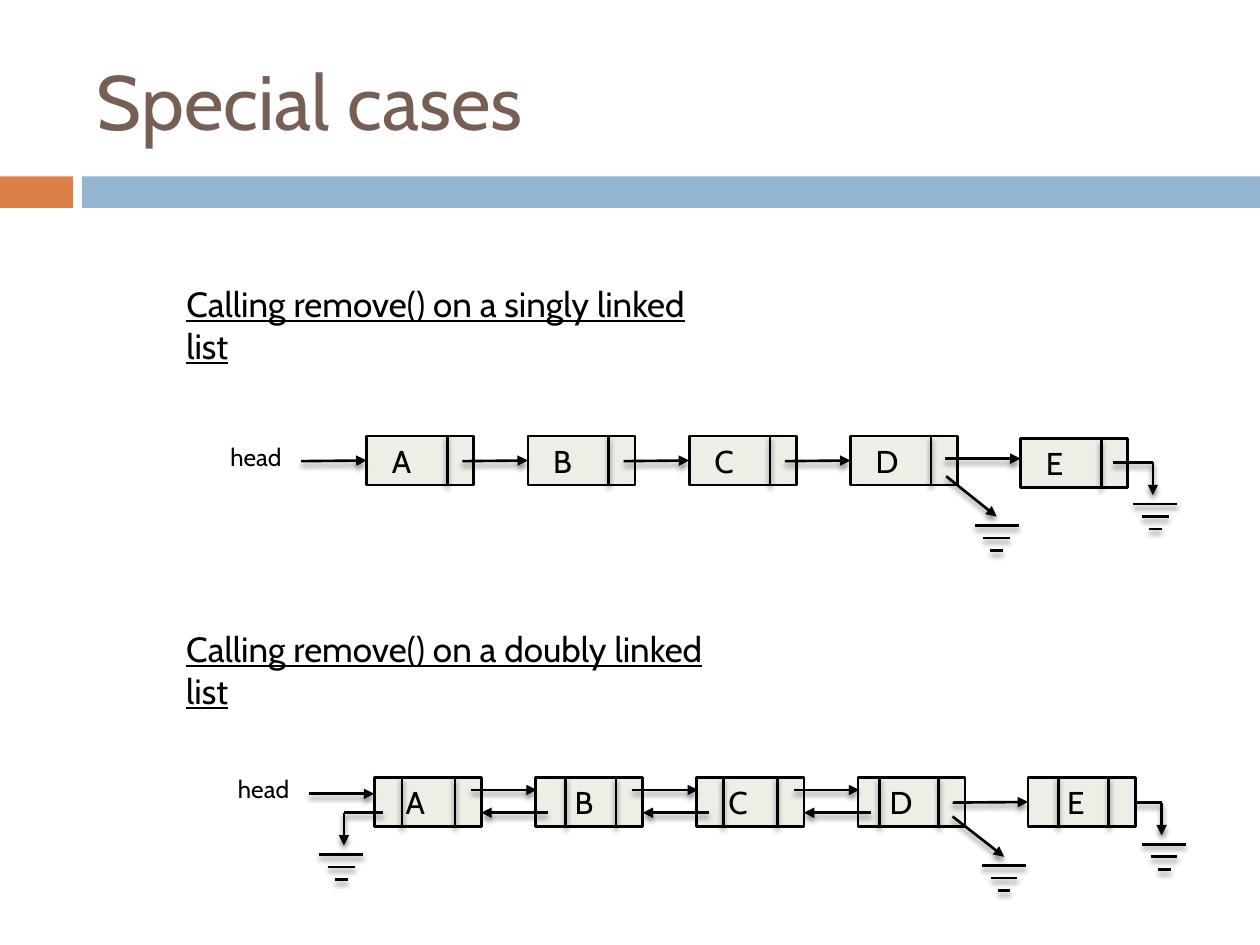
import dataclasses

import pptx
import pptx.dml.color
import pptx.enum.shapes
import pptx.enum.text
import pptx.oxml
import pptx.oxml.ns
import pptx.util

Inches = pptx.util.Inches
Pt = pptx.util.Pt
RGB = pptx.dml.color.RGBColor.from_string
RECTANGLE = pptx.enum.shapes.MSO_SHAPE.RECTANGLE
MIDDLE = pptx.enum.text.MSO_ANCHOR.MIDDLE
LEFT_SIDE = 1


@dataclasses.dataclass(frozen=True)
class Theme:
    font: str = "Cabin"
    title: str = "775F55"
    accent: str = "DD8047"
    band: str = "94B6D2"
    node: str = "EDEEE6"
    ink: str = "000000"
    title_size: int = 44
    heading_size: int = 20
    node_size: int = 18
    label_size: int = 14
    stroke: float = 1.5


@dataclasses.dataclass(frozen=True)
class Box:
    left: float
    top: float
    width: float
    height: float

    def at(self, x, y):
        return self.left + x, self.top + y


THEME = Theme()
NODE_WIDTH, NODE_HEIGHT = 0.85, 0.39
FIRST_NODE, NODE_PITCH, LAST_NODE = 1.18, 1.28, 6.37
NODE_LEFTS = [FIRST_NODE + NODE_PITCH * i for i in range(4)] + [LAST_NODE]
NEXT_DIVIDER = 0.64
SHADOW = (
    f'<a:effectLst {pptx.oxml.ns.nsdecls("a")}>'
    '<a:outerShdw blurRad="38100" dist="30480" dir="5400000" rotWithShape="0">'
    f'<a:srgbClr val="{THEME.ink}"><a:alpha val="45000"/></a:srgbClr>'
    "</a:outerShdw></a:effectLst>"
)
ARROWHEAD = f'<a:tailEnd {pptx.oxml.ns.nsdecls("a")} type="triangle"/>'


def style_text(frame, text, size, color):
    paragraph = frame.paragraphs[0]
    paragraph.text = text
    paragraph.alignment = pptx.enum.text.PP_ALIGN.LEFT
    paragraph.font.name = THEME.font
    paragraph.font.size = Pt(size)
    paragraph.font.color.rgb = RGB(color)
    return paragraph


def add_text(slide, box, text, size, color, wrap=True):
    frame = slide.shapes.add_textbox(
        Inches(box.left), Inches(box.top), Inches(box.width), Inches(box.height)
    ).text_frame
    frame.word_wrap = wrap
    return frame, style_text(frame, text, size, color)


def add_rectangle(slide, box, fill):
    rectangle = slide.shapes.add_shape(
        RECTANGLE, Inches(box.left), Inches(box.top), Inches(box.width), Inches(box.height)
    )
    rectangle.shadow.inherit = False
    rectangle.fill.solid()
    rectangle.fill.fore_color.rgb = RGB(fill)
    rectangle.line.fill.background()
    return rectangle


def add_line(slide, start, end, arrow=False, target=None):
    line = slide.shapes.add_connector(
        pptx.enum.shapes.MSO_CONNECTOR.STRAIGHT, *map(Inches, (*start, *end))
    )
    line.line.color.rgb = RGB(THEME.ink)
    line.line.width = Pt(THEME.stroke)
    if arrow:
        line.line._get_or_add_ln().append(pptx.oxml.parse_xml(ARROWHEAD))
    line._element.spPr.append(pptx.oxml.parse_xml(SHADOW))
    if target is not None:
        line.end_connect(target, LEFT_SIDE)


def add_node(slide, box, letter, inset, dividers):
    node = add_rectangle(slide, box, THEME.node)
    node.line.color.rgb = RGB(THEME.ink)
    node.line.width = Pt(THEME.stroke)
    frame = node.text_frame
    frame.margin_left = Inches(inset)
    frame.vertical_anchor = MIDDLE
    style_text(frame, letter, THEME.node_size, THEME.ink)
    for x in dividers:
        add_line(slide, box.at(x, 0), box.at(x, box.height))
    return node


def add_grounded_wire(slide, box, points, drift=0):
    corners = [box.at(*point) for point in points]
    for i, (start, end) in enumerate(zip(corners, corners[1:]), 2):
        add_line(slide, start, end, arrow=i == len(corners))
    tip_x, tip_y = corners[-1]
    for i, width in enumerate((0.35, 0.21, 0.1)):
        center, y = tip_x + drift, tip_y + 0.07 + 0.1 * i
        add_line(slide, (center - width / 2, y), (center + width / 2, y))


def add_header(slide, box):
    frame, _ = add_text(
        slide, Box(*box.at(0.67, 0.25), 8.92, 1.08), "Special cases", THEME.title_size, THEME.title
    )
    frame.vertical_anchor = MIDDLE
    add_rectangle(slide, Box(*box.at(0, 1.4), 0.58, 0.25), THEME.accent)
    add_rectangle(slide, Box(*box.at(0.65, 1.4), box.width - 0.65, 0.25), THEME.band)


def add_heading(slide, box, text):
    _, heading = add_text(slide, box, text, THEME.heading_size, THEME.ink)
    heading.font.underline = True


def add_head_label(slide, box, y):
    add_text(slide, Box(*box.at(0, y), 0.62, 0.34), "head", THEME.label_size, THEME.ink, wrap=False)


def add_singly_linked(slide, box):
    nodes = []
    for letter, left in zip("ABCDE", NODE_LEFTS):
        drop = 0.02 if letter == "E" else 0
        node_box = Box(*box.at(left, drop), NODE_WIDTH, NODE_HEIGHT)
        nodes.append(add_node(slide, node_box, letter, 0.2, [NEXT_DIVIDER]))
    add_head_label(slide, box, 0)
    starts = [0.66] + [left + 0.76 for left in NODE_LEFTS[:3]]
    for start, left, node in zip(starts, NODE_LEFTS, nodes):
        add_line(slide, box.at(start, 0.2), box.at(left, 0.2), arrow=True, target=node)
    add_line(slide, box.at(5.77, 0.18), box.at(LAST_NODE, 0.18), arrow=True)
    add_grounded_wire(slide, box, [(7.1, 0.21), (7.42, 0.21), (7.42, 0.47)], 0.02)
    add_grounded_wire(slide, box, [(5.78, 0.32), (6.18, 0.64)])


def add_doubly_linked(slide, box):
    add_grounded_wire(slide, box, [(7.11, 0.2), (7.43, 0.2), (7.43, 0.46)], 0.02)
    insets = (0.25, 0.31, 0.25, 0.25, 0.31)
    back_dividers = (0.22, 0.24, 0.21, 0.17, 0.24)
    for letter, left, inset, back in zip("ABCDE", NODE_LEFTS, insets, back_dividers):
        node_box = Box(*box.at(left, 0), NODE_WIDTH, NODE_HEIGHT)
        node = add_node(slide, node_box, letter, inset, [back, NEXT_DIVIDER])
    add_head_label(slide, box, -0.08)
    add_line(slide, box.at(0.66, 0.13), box.at(FIRST_NODE, 0.13), arrow=True)
    for left in NODE_LEFTS[:3]:
        add_line(slide, box.at(left + 0.77, 0.1), box.at(left + 1.29, 0.1), arrow=True)
        add_line(slide, box.at(left + 1.38, 0.28), box.at(left + NODE_WIDTH, 0.28), arrow=True)
    add_line(slide, box.at(5.77, 0.2), box.at(LAST_NODE, 0.2), arrow=True, target=node)
    add_grounded_wire(slide, box, [(1.25, 0.28), (0.94, 0.28), (0.94, 0.54)], -0.02)
    add_grounded_wire(slide, box, [(5.77, 0.31), (6.18, 0.63)])


def main():
    deck = pptx.Presentation()
    deck.slide_width, deck.slide_height = Inches(10), Inches(7.5)
    slide = deck.slides.add_slide(deck.slide_layouts[6])
    add_header(slide, Box(0, 0, 10, 1.65))
    add_heading(slide, Box(1.38, 2.19, 4.42, 0.44), "Calling remove() on a singly linked list")
    add_singly_linked(slide, Box(1.73, 3.46, 7.61, 0.93))
    add_heading(slide, Box(1.38, 4.93, 4.56, 0.44), "Calling remove() on a doubly linked list")
    add_doubly_linked(slide, Box(1.79, 6.17, 7.62, 0.91))
    deck.save("out.pptx")


if __name__ == "__main__":
    main()
